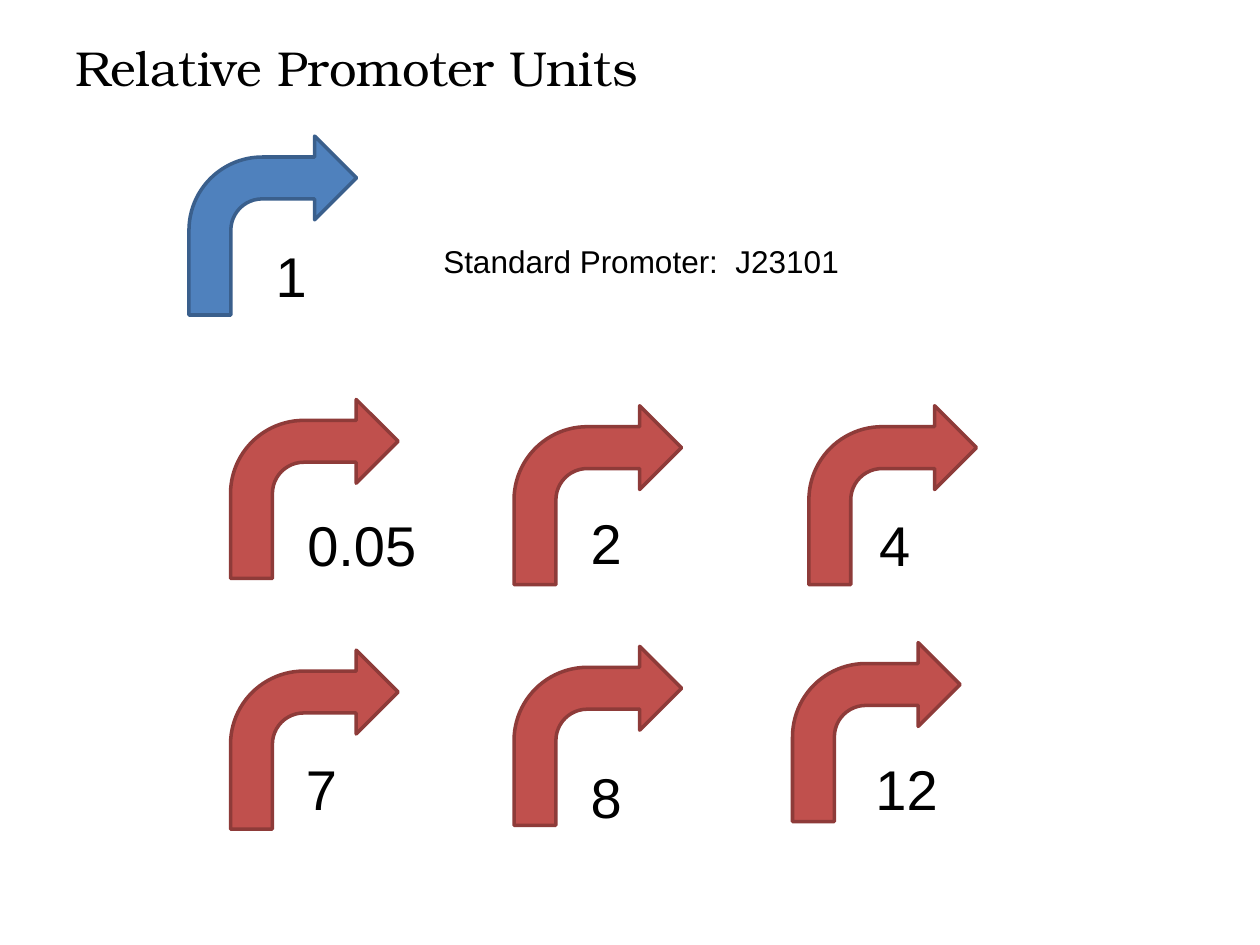
from typing import NamedTuple

from pptx import Presentation
from pptx.dml.color import RGBColor
from pptx.enum.shapes import MSO_SHAPE
from pptx.enum.text import MSO_AUTO_SIZE
from pptx.util import Emu, Pt

PX = 9144
BLACK = RGBColor(0x00, 0x00, 0x00)
BLUE = RGBColor(0x4F, 0x81, 0xBD)
DARK_BLUE = RGBColor(0x3A, 0x5F, 0x8C)
RED = RGBColor(0xC0, 0x50, 0x4D)
DARK_RED = RGBColor(0x8E, 0x3B, 0x39)
ARROW_W, ARROW_H = 133, 142
VALUE_H = 64


class Promoter(NamedTuple):
    value: str
    x: int
    y: int
    value_x: int
    value_y: int
    value_w: int = 83
    fill: RGBColor = RED
    line: RGBColor = DARK_RED


PROMOTERS = [
    Promoter("1", 150, 108, 209, 187, fill=BLUE, line=DARK_BLUE),
    Promoter("0.05", 183, 317, 234, 400, value_w=108),
    Promoter("2", 408, 322, 459, 399),
    Promoter("4", 642, 322, 688, 400),
    Promoter("7", 183, 516, 233, 594),
    Promoter("8", 408, 513, 459, 600),
    Promoter("12", 629, 510, 685, 594),
]


def px(n: int) -> Emu:
    return Emu(n * PX)


def add_text(s, text: str, x: int, y: int, w: int, h: int, *,
             size: int = 32, font: str = "Arial") -> None:
    tf = s.shapes.add_textbox(px(x), px(y), px(w), px(h)).text_frame
    tf.word_wrap = True
    tf.auto_size = MSO_AUTO_SIZE.SHAPE_TO_FIT_TEXT
    r = tf.paragraphs[0].add_run()
    r.text = text
    r.font.size = Pt(size)
    r.font.name = font
    r.font.color.rgb = BLACK


def add_arrow(s, promoter: Promoter) -> None:
    sp = s.shapes.add_shape(MSO_SHAPE.BENT_ARROW, px(promoter.x), px(promoter.y),
                            px(ARROW_W), px(ARROW_H))
    sp.shadow.inherit = False
    sp.fill.solid()
    sp.fill.fore_color.rgb = promoter.fill
    sp.line.color.rgb = promoter.line
    sp.line.width = Pt(2)


def main() -> None:
    prs = Presentation()
    prs.slide_width, prs.slide_height = px(1000), px(750)
    s = prs.slides.add_slide(prs.slide_layouts[6])

    add_text(s, "Relative Promoter Units", 50, 25, 942, 57, size=28, font="TeX Gyre Bonum")
    for promoter in PROMOTERS:
        add_arrow(s, promoter)
    for promoter in PROMOTERS:
        add_text(s, promoter.value, promoter.value_x, promoter.value_y,
                 promoter.value_w, VALUE_H)
    add_text(s, "Standard Promoter:  J23101", 342, 187, 550, 40, size=18)

    prs.save("out.pptx")


if __name__ == "__main__":
    main()
